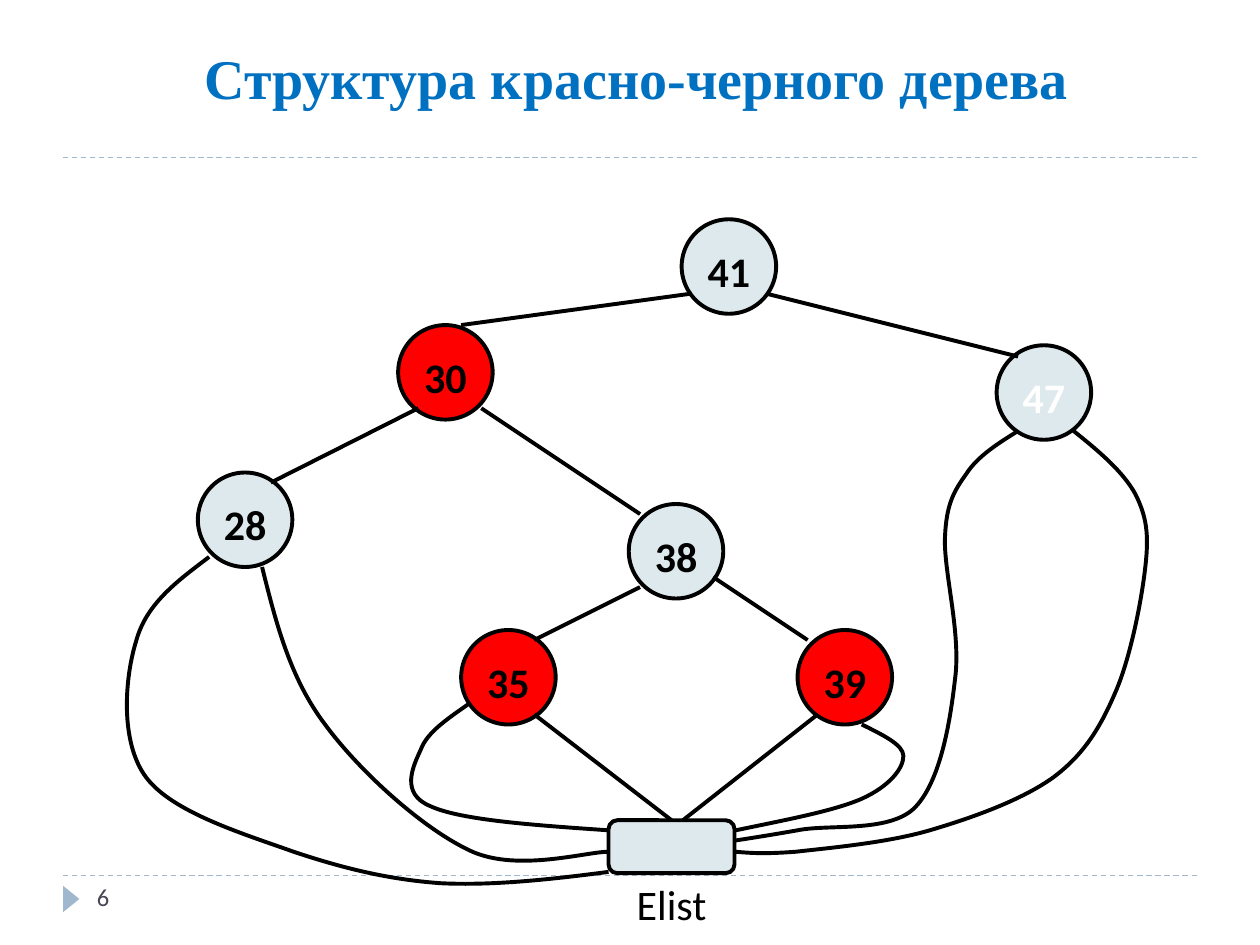
from lxml import etree
from pptx import Presentation
from pptx import util as u
from pptx.dml.color import RGBColor
from pptx.enum import dml, shapes, text
from pptx.oxml.ns import qn

COLORS = dict(title="0070C0", rule="9FB8CD", number="464653", black="000000",
              white="FFFFFF", pale="DDE9EC", red="FF0000")
NODE = 0.75

NODES = [("41", 5.41, 1.74, "pale", "black"), ("30", 3.16, 2.58, "red", "black"),
         ("47", 7.91, 2.74, "pale", "white"), ("28", 1.57, 3.75, "pale", "black"),
         ("38", 4.99, 4, "pale", "black"), ("35", 3.66, 5, "red", "black"),
         ("39", 6.33, 5, "red", "black")]

EDGES = [(5.49, 2.33, 3.66, 2.58), (6.08, 2.33, 8.08, 2.83), (3.32, 3.24, 2.15, 3.83),
         (3.82, 3.24, 5.08, 4.08), (5.08, 4.66, 4.24, 5.08), (5.66, 4.58, 6.41, 5.08),
         (4.24, 5.67, 5.33, 6.51), (6.49, 5.67, 5.42, 6.51)]

CURVES = [
    [(3.73, 5.58), (3.56, 5.7), (3.39, 5.81), (3.34, 5.95), (3.28, 6.08), (3.17, 6.3),
     (3.42, 6.4), (3.66, 6.51), (4.25, 6.55), (4.83, 6.59)],
    [(2.08, 4.5), (2.19, 4.94), (2.3, 5.38), (2.58, 5.75), (2.86, 6.13), (3.37, 6.59),
     (3.75, 6.76), (4.12, 6.92), (4.65, 6.76), (4.83, 6.76)],
    [(1.66, 4.42), (1.41, 4.61), (1.16, 4.79), (1.08, 5.09), (0.99, 5.38), (0.95, 5.89),
     (1.16, 6.17), (1.37, 6.45), (1.94, 6.62), (2.33, 6.76), (2.72, 6.89), (3.08, 6.98),
     (3.5, 7.01), (3.91, 7.03), (4.37, 6.98), (4.83, 6.92)],
    [(6.84, 5.75), (7, 5.83), (7.17, 5.91), (7.17, 6), (7.17, 6.1), (7.06, 6.24),
     (6.84, 6.34), (6.61, 6.44), (6.22, 6.51), (5.84, 6.59)],
    [(8.08, 3.42), (7.92, 3.52), (7.76, 3.62), (7.67, 3.76), (7.57, 3.9), (7.51, 4),
     (7.5, 4.27), (7.49, 4.54), (7.63, 5.03), (7.58, 5.39), (7.54, 5.74), (7.46, 6.22),
     (7.25, 6.42), (7.04, 6.61), (6.57, 6.54), (6.33, 6.59), (6.1, 6.63), (5.97, 6.65),
     (5.84, 6.67)],
    [(8.52, 3.42), (8.72, 3.58), (8.91, 3.74), (9.01, 3.92), (9.1, 4.1), (9.12, 4.24),
     (9.09, 4.5), (9.06, 4.77), (8.97, 5.23), (8.85, 5.5), (8.73, 5.78), (8.6, 5.99),
     (8.36, 6.17), (8.11, 6.35), (7.72, 6.49), (7.38, 6.59), (7.04, 6.69), (6.58, 6.73),
     (6.32, 6.76), (6.06, 6.78), (5.95, 6.77), (5.83, 6.76)],
]


def cm(*inches):
    return [u.Cm(v * 2.54) for v in inches]


def rgb(name):
    return RGBColor.from_string(COLORS[name])


def write(tf, words, size=24, font="Calibri", color="black", bold=False,
          align=text.PP_ALIGN.CENTER, anchor=text.MSO_ANCHOR.TOP):
    tf.word_wrap = True
    tf.vertical_anchor = anchor
    p = tf.paragraphs[0]
    p.alignment = align
    r = p.add_run()
    r.text = words
    r.font.size, r.font.name, r.font.bold = u.Pt(size), font, bold
    r.font.color.rgb = rgb(color)


class Deck:
    def __init__(self):
        self.prs = Presentation()
        self.prs.slide_width, self.prs.slide_height = cm(10, 7.5)
        self.s = self.prs.slides.add_slide(self.prs.slide_layouts[5])

    def stroke(self, sp, color="black", width=2.25):
        sp.line.color.rgb = rgb(color)
        sp.line.width = u.Pt(width)

    def title(self, words, *box):
        sp = self.s.shapes.title
        sp.left, sp.top, sp.width, sp.height = cm(*box)
        write(sp.text_frame, words, size=32, font="Times New Roman", color="title",
              bold=True, anchor=text.MSO_ANCHOR.BOTTOM)

    def label(self, words, *box, **fmt):
        write(self.s.shapes.add_textbox(*cm(*box)).text_frame, words, **fmt)

    def shape(self, kind, fill, *box, outline=True):
        sp = self.s.shapes.add_shape(kind, *cm(*box))
        sp.shadow.inherit = False
        sp.fill.solid()
        sp.fill.fore_color.rgb = rgb(fill)
        if outline:
            self.stroke(sp)
        else:
            sp.line.fill.background()
        return sp

    def line(self, *ends, dash=False, **style):
        sp = self.s.shapes.add_connector(shapes.MSO_CONNECTOR.STRAIGHT, *cm(*ends))
        self.stroke(sp, **style)
        if dash:
            sp.line.dash_style = dml.MSO_LINE.DASH
        etree.SubElement(sp._element.spPr, qn("a:effectLst"))

    def node(self, words, x, y, fill, color):
        self.shape(shapes.MSO_SHAPE.OVAL, fill, x, y, NODE, NODE)
        self.label(words, x + 0.08, y + 0.16, 0.59, 0.5, color=color, bold=True)

    def curve(self, points):
        start, *rest = [cm(*pt) for pt in points]
        fb = self.s.shapes.build_freeform(*start)
        fb.add_line_segments(rest, close=False)
        sp = fb.convert_to_shape()
        sp.shadow.inherit = False
        sp.fill.background()
        self.stroke(sp)
        segments = list(sp._element.iter(qn("a:lnTo")))
        route = segments[0].getparent()
        for i in range(0, len(segments), 3):
            bez = etree.SubElement(route, qn("a:cubicBezTo"))
            for seg in segments[i:i + 3]:
                bez.append(seg[0])
                route.remove(seg)


def main():
    d = Deck()
    for y in (6.95, 1.25):
        d.line(0.5, y, 9.5, y, color="rule", width=0.75, dash=True)
    marker = d.shape(shapes.MSO_SHAPE.ISOSCELES_TRIANGLE, "rule",
                     0.46, 7.07, 0.21, 0.13, outline=False)
    marker.rotation = 90
    d.title("Структура красно-черного дерева", 0.55, 0.23, 9, 0.7)
    d.label("6", 0.67, 6.95, 2.17, 0.4, size=14, color="number",
            align=text.PP_ALIGN.LEFT)
    for node in NODES:
        d.node(*node)
    for edge in EDGES:
        d.line(*edge)
    d.shape(shapes.MSO_SHAPE.ROUNDED_RECTANGLE, "pale", 4.83, 6.51, 1, 0.42)
    for points in CURVES:
        d.curve(points)
    d.label("Elist", 4.83, 6.92, 1, 0.51)
    d.prs.save("out.pptx")


if __name__ == "__main__":
    main()
